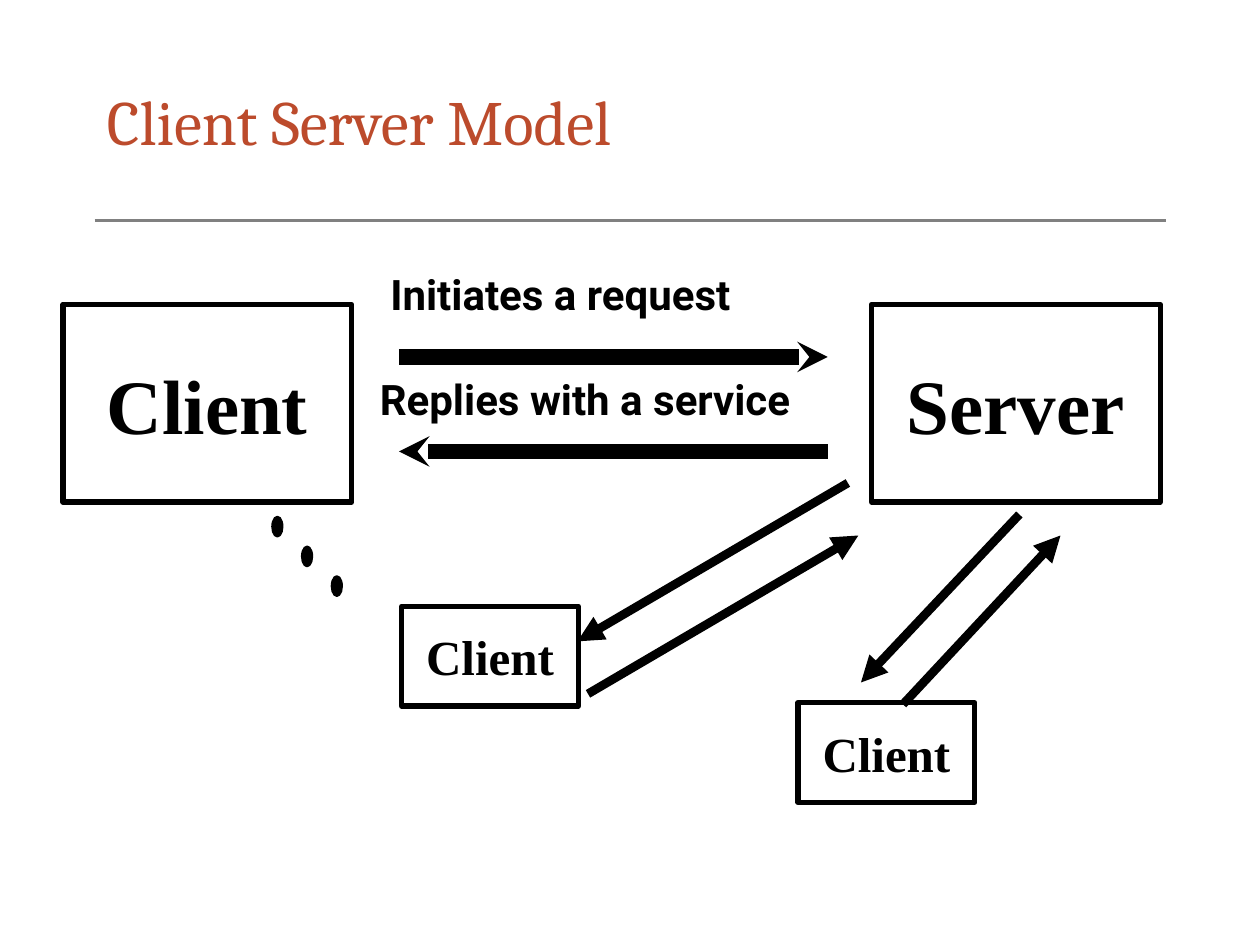
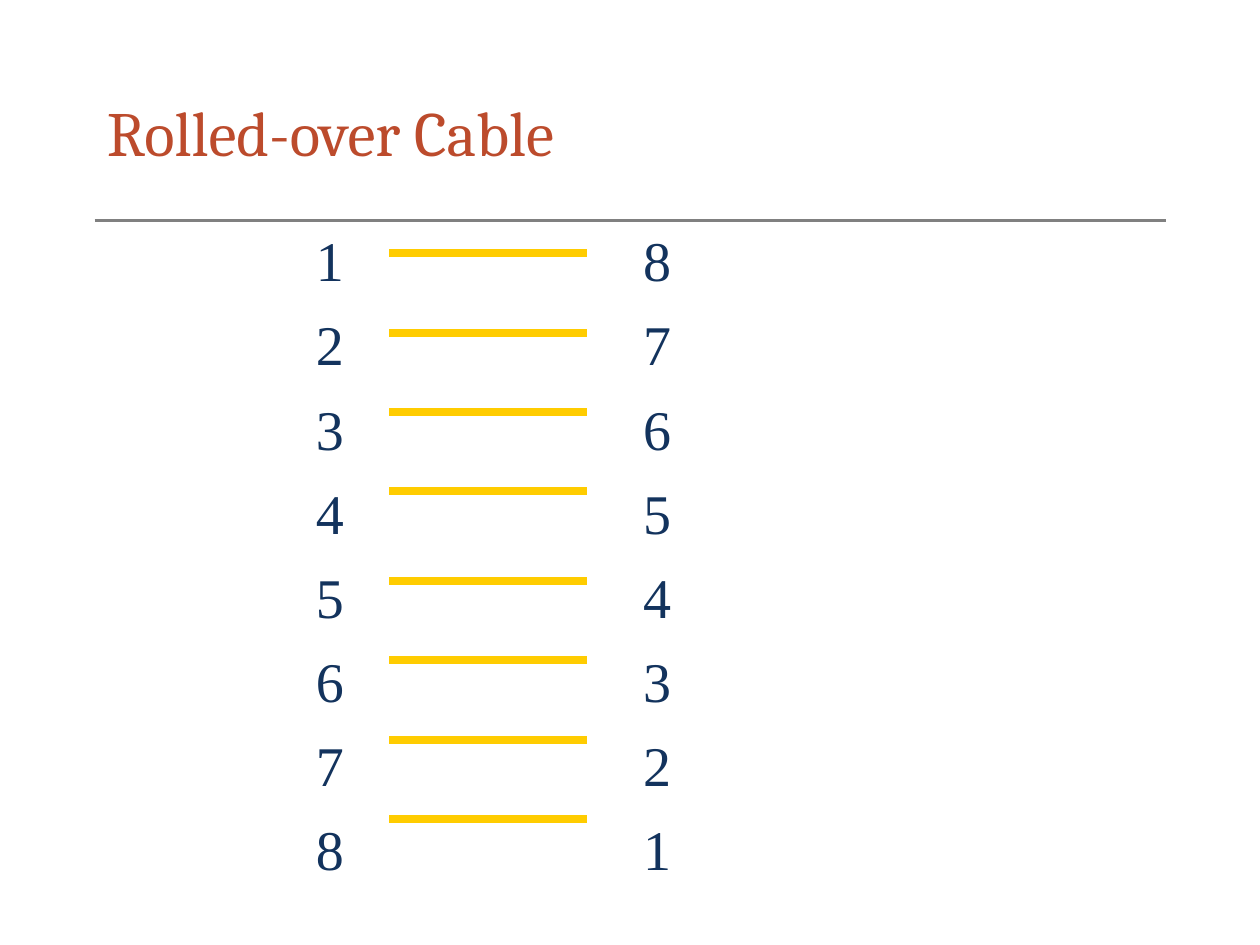
"""Builds two networking slides: the client-server model and the rolled-over cable."""
from lxml import etree
from pptx import Presentation
from pptx.dml.color import RGBColor
from pptx.enum.shapes import MSO_CONNECTOR, MSO_SHAPE
from pptx.enum.text import MSO_ANCHOR, PP_ALIGN
from pptx.oxml.ns import qn
from pptx.util import Pt

STRAIGHT = MSO_CONNECTOR.STRAIGHT
RECTANGLE, OVAL = MSO_SHAPE.RECTANGLE, MSO_SHAPE.OVAL
MIDDLE, CENTER = MSO_ANCHOR.MIDDLE, PP_ALIGN.CENTER

BLACK = RGBColor(0x00, 0x00, 0x00)
GRAY = RGBColor(0x80, 0x80, 0x80)
RUST = RGBColor(0xBC, 0x4B, 0x2C)
NAVY = RGBColor(0x13, 0x33, 0x5D)
YELLOW = RGBColor(0xFF, 0xCC, 0x00)
SERIF, SANS, TITLE_FONT = "Times New Roman", "Roboto", "Cambria"

SLIDE_W, SLIDE_H, MARGIN = 720, 540, 54
TITLE_TOP, RULE_Y = 36, 126

LARGE_NODE, SMALL_NODE = (165, 113, 44), (101, 57, 28)
NODES = [
    ("Client", 36, 174, LARGE_NODE),
    ("Server", 498, 174, LARGE_NODE),
    ("Client", 229.5, 346.5, SMALL_NODE),
    ("Client", 456, 401.5, SMALL_NODE),
]
MESSAGES = [
    ("Initiates a request", 216, 150, 258),
    ("Replies with a service", 210, 210, 298),
]
BOLD_ARROW, PLAIN_ARROW = (8.75, "stealth", "sm"), (5, "triangle", "med")
ARROWS = [
    ((228, 204), (473, 204), BOLD_ARROW),
    ((473, 258), (228, 258), BOLD_ARROW),
    ((516, 402.5), (606, 306), PLAIN_ARROW),
    ((582.5, 294), (492, 390), PLAIN_ARROW),
    ((336, 396.5), (490.5, 306), PLAIN_ARROW),
    ((484.5, 276), (330, 366.5), PLAIN_ARROW),
]
DOT_COUNT, DOT_LEFT, DOT_TOP, DOT_STEP = 3, 155.5, 295.2, 17

PINS = [str(pin) for pin in range(1, 9)]
PIN_COLUMNS = [(132, PINS), (319, PINS[::-1])]
PIN_TOP, PIN_W, PIN_H = 125.6, 113, 324
WIRE_LEFT, WIRE_RIGHT, WIRE_STEP = 222.5, 335.5, 45.36
WIRE_GROUP_TOPS, WIRES_PER_GROUP = (144.7, 331.9), 4


def style(paragraph, font_name, size, color, bold=False):
    font = paragraph.font
    font.name, font.size, font.bold = font_name, Pt(size), bold
    font.color.rgb = color


def add_text(slide, text, left, top, width, height):
    box = slide.shapes.add_textbox(Pt(left), Pt(top), Pt(width), Pt(height))
    frame = box.text_frame
    frame.word_wrap = True
    frame.text = text
    return frame


def add_line(slide, start, end, color, weight):
    line = slide.shapes.add_connector(STRAIGHT, *map(Pt, start + end))
    line.line.color.rgb = color
    line.line.width = Pt(weight)
    etree.SubElement(line._element.spPr, qn("a:effectLst"))
    return line


def add_arrow(slide, start, end, weight, head, size):
    arrow = add_line(slide, start, end, BLACK, weight)
    etree.SubElement(arrow.line._get_or_add_ln(), qn("a:tailEnd"),
                     type=head, w=size, len=size)


def add_outlined(slide, preset, left, top, width, height, weight):
    shape = slide.shapes.add_shape(preset, Pt(left), Pt(top), Pt(width), Pt(height))
    shape.shadow.inherit = False
    shape.line.color.rgb = BLACK
    shape.line.width = Pt(weight)
    return shape


def add_node(slide, label, left, top, width, height, size):
    node = add_outlined(slide, RECTANGLE, left, top, width, height, 3)
    node.fill.background()
    frame = node.text_frame
    frame.word_wrap = False
    frame.vertical_anchor = MIDDLE
    frame.text = label
    frame.paragraphs[0].alignment = CENTER
    style(frame.paragraphs[0], SERIF, size, BLACK, True)


def add_titled_slide(deck, title, title_height):
    slide = deck.slides.add_slide(deck.slide_layouts[6])
    add_line(slide, (MARGIN, RULE_Y), (SLIDE_W - MARGIN, RULE_Y), GRAY, 2)
    frame = add_text(slide, title, MARGIN, TITLE_TOP, SLIDE_W - 2 * MARGIN, title_height)
    frame.vertical_anchor = MIDDLE
    style(frame.paragraphs[0], TITLE_FONT, 36, RUST)
    return slide


def build_client_server(deck):
    slide = add_titled_slide(deck, "Client Server Model", 66)
    for label, left, top, node_format in NODES:
        add_node(slide, label, left, top, *node_format)
    for message, left, top, width in MESSAGES:
        frame = add_text(slide, message, left, top, width, 36)
        style(frame.paragraphs[0], SANS, 24, BLACK, True)
    for start, end, arrow_format in ARROWS:
        add_arrow(slide, start, end, *arrow_format)
    for i in range(DOT_COUNT):
        offset = i * DOT_STEP
        dot = add_outlined(slide, OVAL, DOT_LEFT + offset, DOT_TOP + offset, 6, 11.5, 1)
        dot.fill.solid()
        dot.fill.fore_color.rgb = BLACK


def build_rolled_over_cable(deck):
    slide = add_titled_slide(deck, "Rolled-over Cable", 78)
    for left, pins in PIN_COLUMNS:
        frame = add_text(slide, "\n".join(pins), left, PIN_TOP, PIN_W, PIN_H)
        for i, paragraph in enumerate(frame.paragraphs):
            paragraph.alignment = CENTER
            paragraph.space_before = Pt(9.6 if i else 0)
            style(paragraph, SERIF, 32, NAVY)
    for group_top in WIRE_GROUP_TOPS:
        for i in range(WIRES_PER_GROUP):
            y = group_top + i * WIRE_STEP
            add_line(slide, (WIRE_LEFT, y), (WIRE_RIGHT, y), YELLOW, 4.5)


def main():
    deck = Presentation()
    deck.slide_width, deck.slide_height = Pt(SLIDE_W), Pt(SLIDE_H)
    build_client_server(deck)
    build_rolled_over_cable(deck)
    deck.save("out.pptx")


if __name__ == "__main__":
    main()
